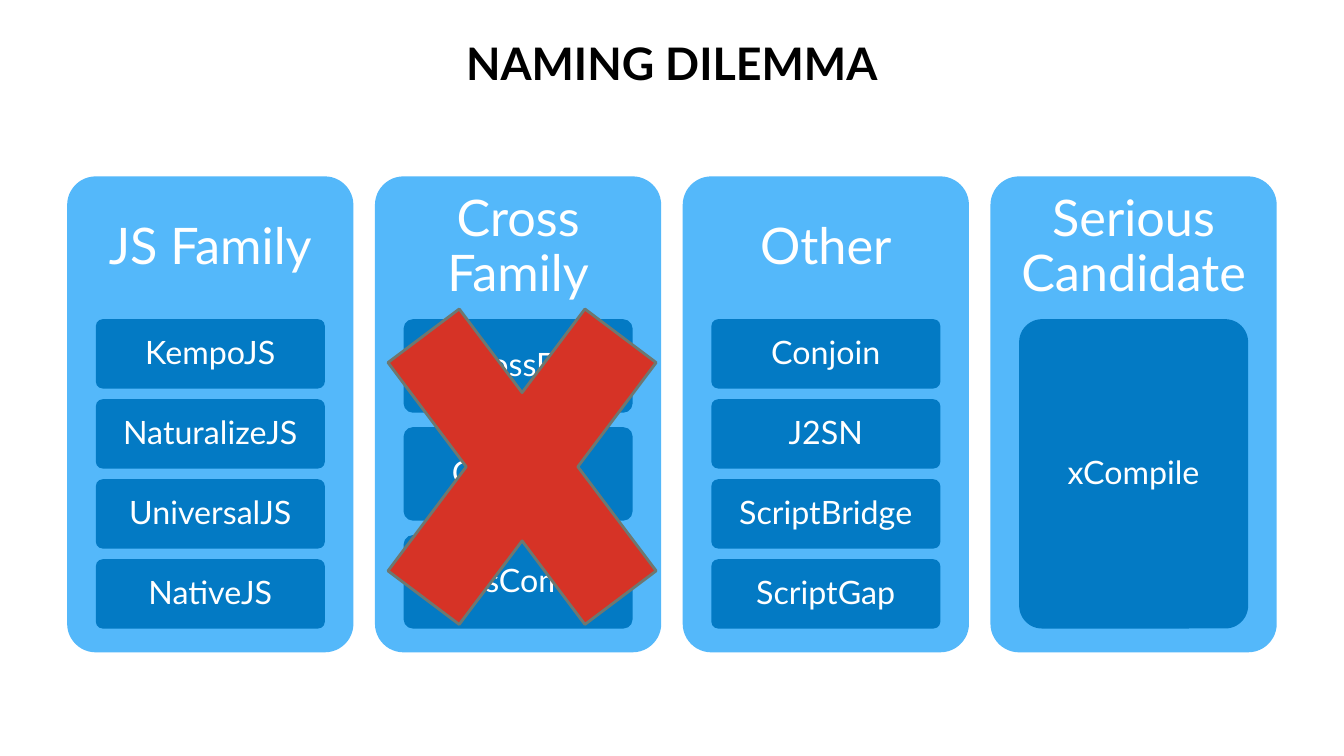
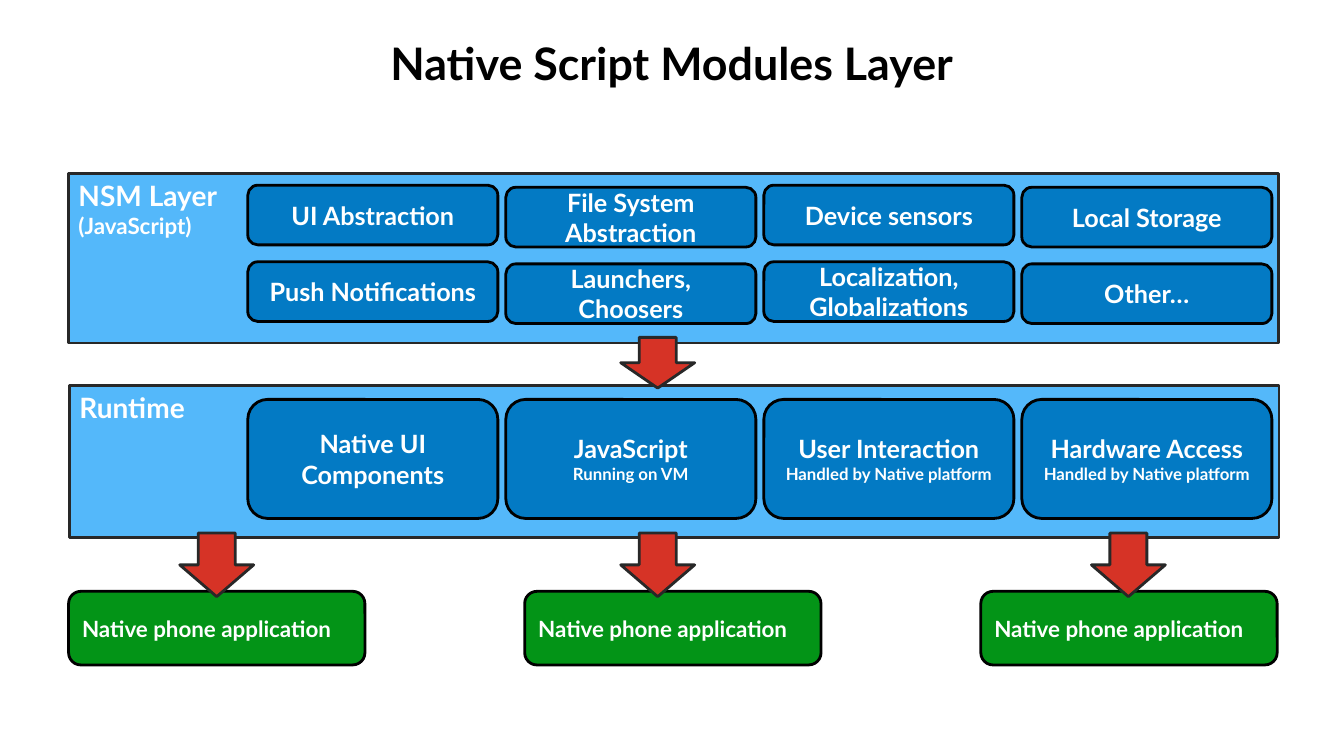
from pptx import Presentation
from pptx.dml.color import RGBColor
from pptx.enum.shapes import MSO_SHAPE as Preset
from pptx.enum.text import MSO_ANCHOR as Anchor, PP_ALIGN as Align
from pptx.util import Pt

FONT = "Lato"
COLORS = {
    "black": "000000", "white": "FFFFFF", "light": "54B8FA", "blue": "037AC4",
    "red": "D63326", "green": "039417", "outline": "282828", "gray": "6D7871",
}
LEFT, CONTENT_WIDTH = 48, 864

FAMILIES = [
    ("JS Family", ["KempoJS", "NaturalizeJS", "UniversalJS", "NativeJS"]),
    ("Cross Family", ["CrossFly", "CrossFire", "CrossCompile"]),
    ("Other", ["Conjoin", "J2SN", "ScriptBridge", "ScriptGap"]),
    ("Serious Candidate", ["xCompile"]),
]
MODULES = [
    [["UI Abstraction"], ["File System Abstraction"], ["Device sensors"], ["Local Storage"]],
    [["Push Notifications"], ["Launchers,", "Choosers"],
     ["Localization,", "Globalizations"], ["Other…"]],
]
RUNTIME_PARTS = [
    [("Native UI", 18), ("Components", 18)],
    [("JavaScript", 18), ("Running on VM", 12)],
    [("User Interaction", 18), ("Handled by Native platform", 12)],
    [("Hardware Access", 18), ("Handled by Native platform", 12)],
]


def color(name):
    return RGBColor.from_string(COLORS[name])


def write(shape, lines, align=Align.CENTER, anchor=Anchor.MIDDLE, ink="white",
          bold=True, spacing=None, inset=None):
    frame = shape.text_frame
    frame.word_wrap = True
    frame.vertical_anchor = anchor
    if inset is not None:
        frame.margin_left = frame.margin_right = Pt(inset)
        frame.margin_top = frame.margin_bottom = Pt(inset)
    for index, (text, size) in enumerate(lines):
        para = frame.add_paragraph() if index else frame.paragraphs[0]
        para.alignment = align
        if spacing:
            para.line_spacing = spacing
        span = para.add_run()
        span.text = text
        span.font.name = FONT
        span.font.size = Pt(size)
        span.font.bold = bold
        span.font.color.rgb = color(ink)


def add_text(page, place, lines, **style):
    box = page.shapes.add_textbox(*map(Pt, place))
    write(box, lines, **style)


def add_box(page, preset, place, fill, line=None, rounding=None):
    shape = page.shapes.add_shape(preset, *map(Pt, place))
    shape.shadow.inherit = False
    shape.fill.solid()
    shape.fill.fore_color.rgb = color(fill)
    if line:
        shape.line.color.rgb = color(line)
        shape.line.width = Pt(2)
    else:
        shape.line.fill.background()
    if rounding:
        shape.adjustments[0] = rounding
    return shape


def add_page(deck, title):
    page = deck.slides.add_slide(deck.slide_layouts[6])
    add_text(page, (LEFT, 21.6, CONTENT_WIDTH, 90), [(title, 32)],
             anchor=Anchor.TOP, ink="black")
    return page


def add_family(page, left, width, heading, names):
    top, height = 126, 340
    add_box(page, Preset.ROUNDED_RECTANGLE, (left, top, width, height), "light", rounding=0.1)
    add_text(page, (left, top, width, height * 0.3), [(heading, 36)],
             bold=False, spacing=0.9, inset=10.8)
    gap_ratio = 2 / 13
    card_height = height * 0.65 / (len(names) + gap_ratio * (len(names) - 1))
    for row, name in enumerate(names):
        card_top = top + height * 0.3 + row * card_height * (1 + gap_ratio)
        card = add_box(page, Preset.ROUNDED_RECTANGLE,
                       (left + width * 0.1, card_top, width * 0.8, card_height),
                       "blue", rounding=0.1)
        write(card, [(name, 23)], bold=False, spacing=0.9, inset=4)


def add_band(page, left, top, height, lines):
    band = add_box(page, Preset.RECTANGLE, (left, top, CONTENT_WIDTH, height), "light", "outline")
    write(band, lines, align=Align.LEFT, anchor=Anchor.TOP)


def add_tile(page, place, fill, lines, align=Align.CENTER):
    tile = add_box(page, Preset.ROUNDED_RECTANGLE, place, fill, "black")
    write(tile, lines, align=align)


def add_arrow(page, left, top, height):
    add_box(page, Preset.DOWN_ARROW, (left, top, 52.8, height), "red", "outline")


def build_naming(deck):
    page = add_page(deck, "NAMING DILEMMA")
    gap_ratio = 0.075
    width = CONTENT_WIDTH / (len(FAMILIES) + gap_ratio * (len(FAMILIES) - 1))
    for column, (heading, names) in enumerate(FAMILIES):
        add_family(page, LEFT + column * width * (1 + gap_ratio), width, heading, names)
    add_box(page, Preset.MATH_MULTIPLY, (237.6, 153.4, 270.7, 360), "red", "gray")


def build_layers(deck):
    page = add_page(deck, "Native Script Modules Layer")
    tile_left, tile_pitch, tile_width = 177, 184.3, 178.6
    add_band(page, 49, 124, 121, [("NSM Layer", 20), ("(JavaScript)", 16)])
    for row, modules in enumerate(MODULES):
        for column, lines in enumerate(modules):
            top = 132.3 + row * 54.7 + column % 2 * 1.5
            add_tile(page, (tile_left + column * tile_pitch, top, tile_width, 42.6),
                     "blue", [(text, 18) for text in lines])
    add_band(page, 49.6, 275.2, 108.7, [("Runtime", 20)])
    for column, lines in enumerate(RUNTIME_PARTS):
        add_tile(page, (tile_left + column * tile_pitch, 285.3, tile_width, 85), "blue", lines)
    add_arrow(page, 443.4, 241, 36.2)
    for column, arrow_left in enumerate([128.4, 443.4, 779.6]):
        add_tile(page, (49 + column * 325.8, 422.4, 211.7, 52.6), "green",
                 [("Native phone application", 16)], align=Align.LEFT)
        add_arrow(page, arrow_left, 380.8, 45.4)


def main():
    deck = Presentation()
    deck.slide_width, deck.slide_height = Pt(960), Pt(540)
    build_naming(deck)
    build_layers(deck)
    deck.save("out.pptx")


if __name__ == "__main__":
    main()
